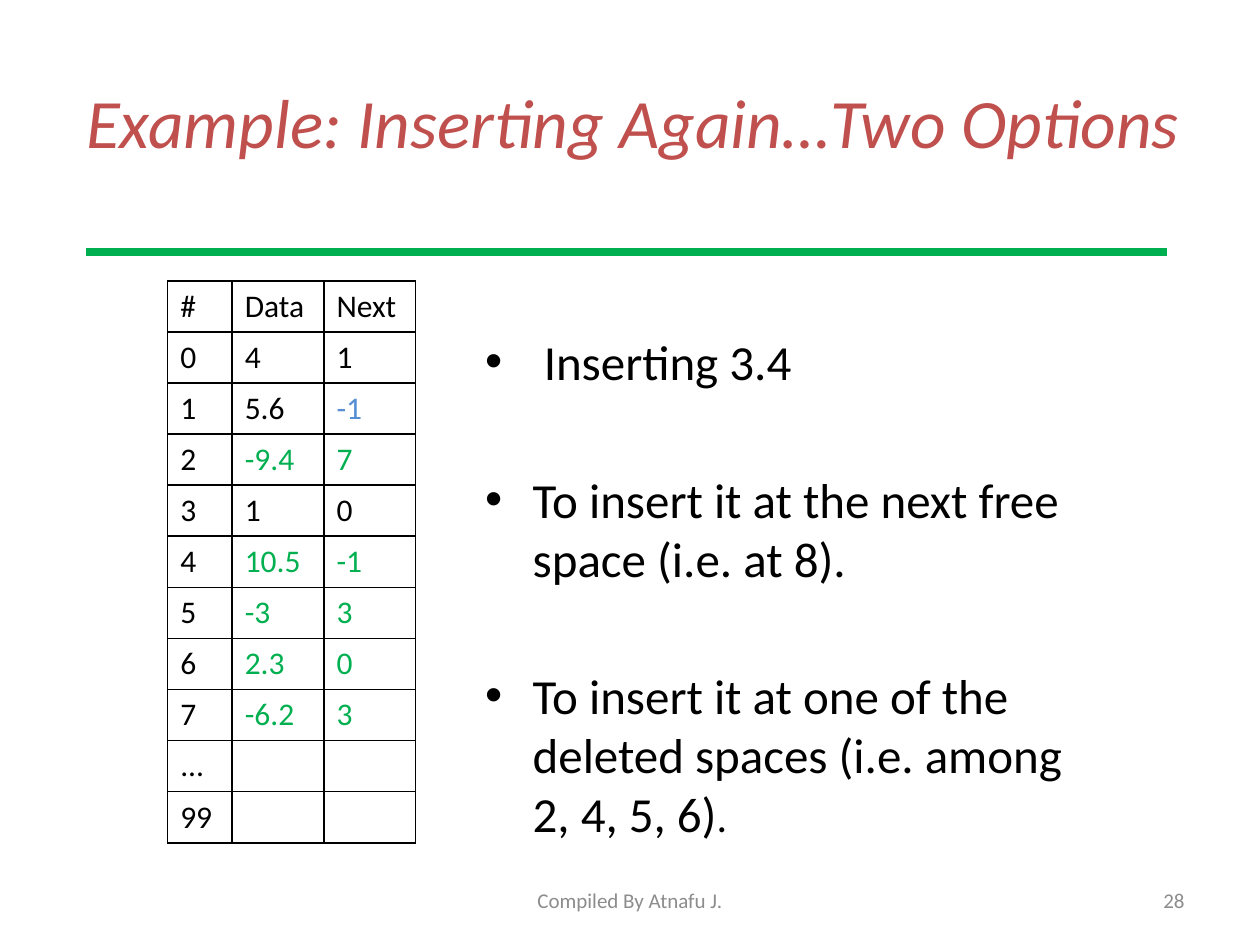
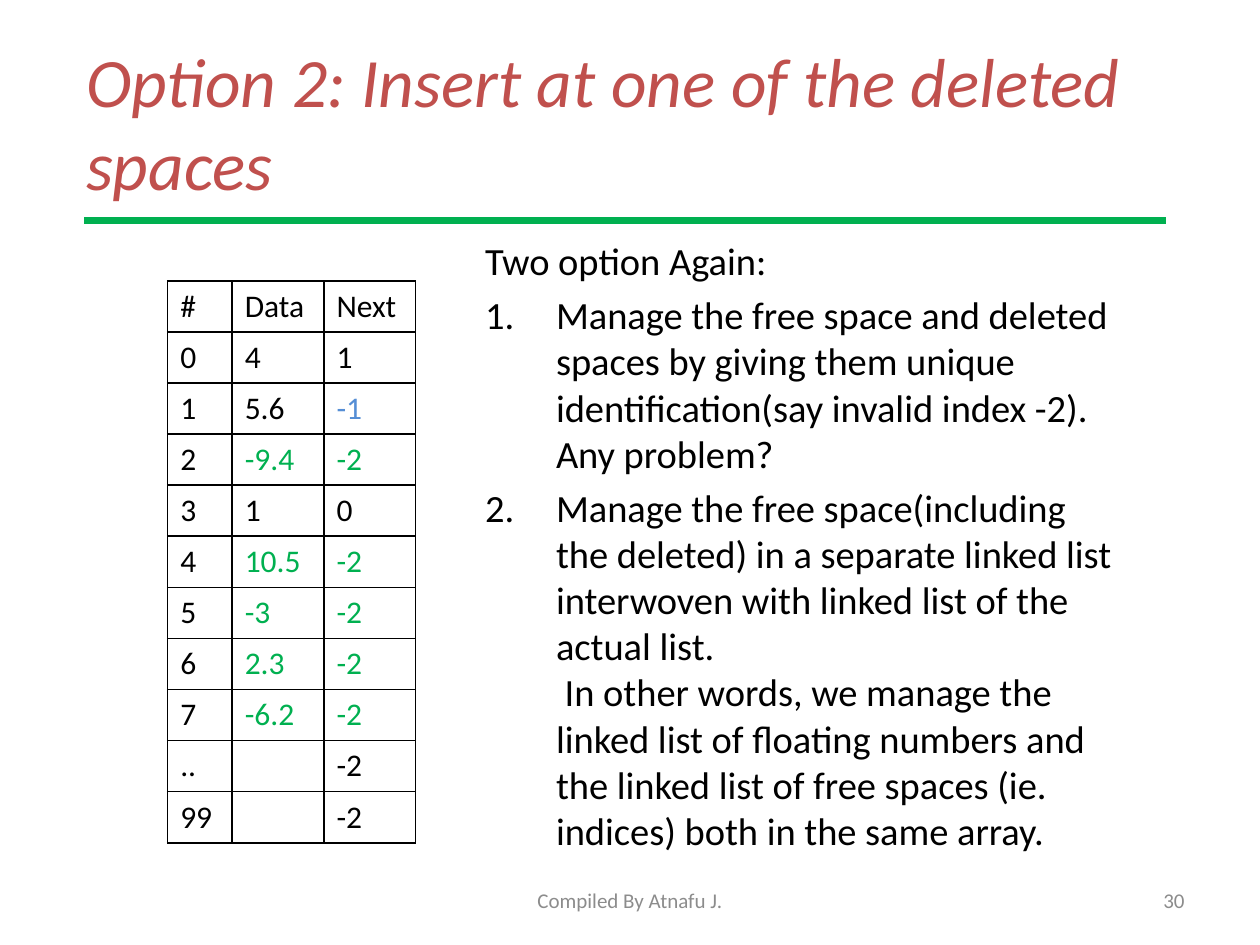
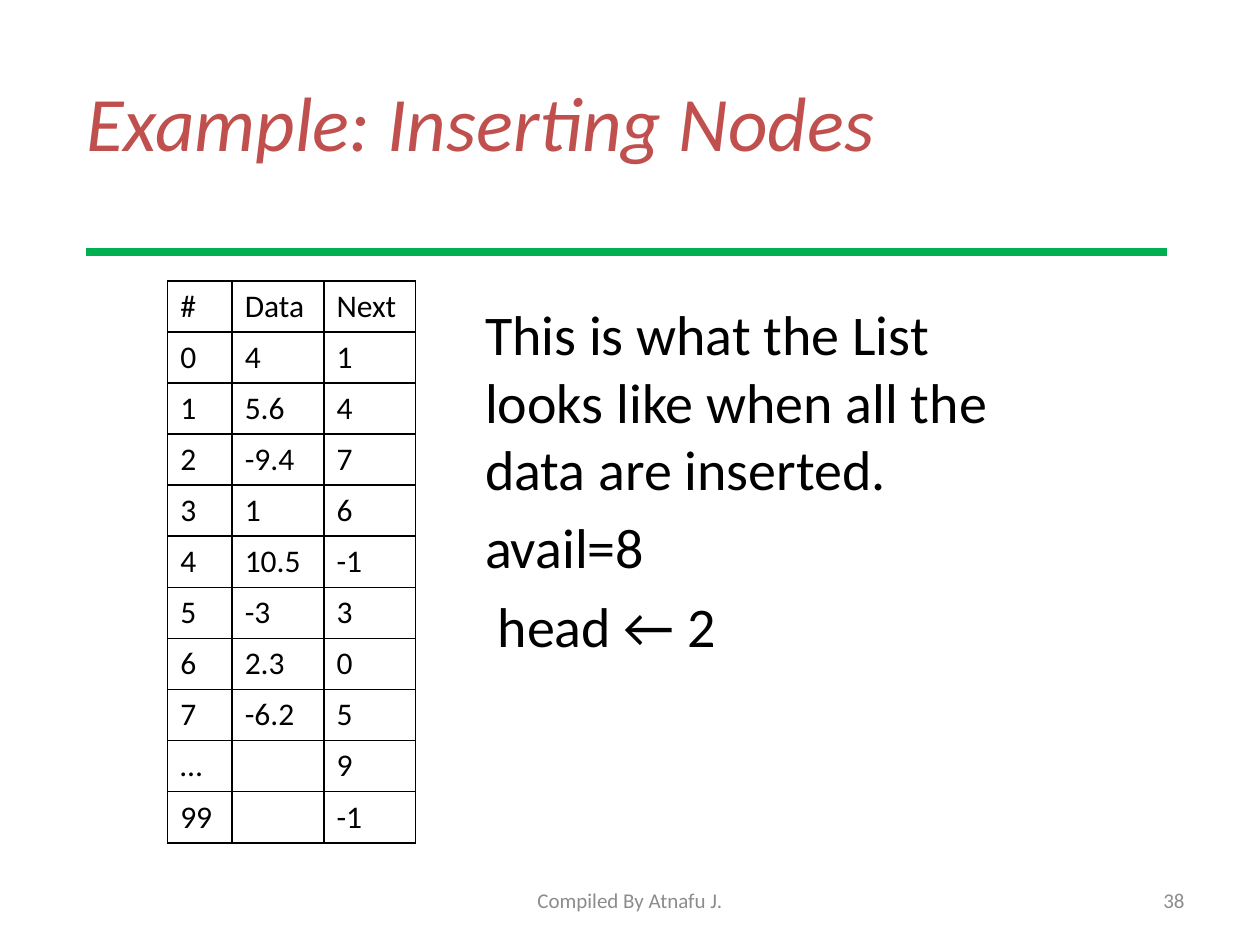
from dataclasses import dataclass

from lxml.etree import SubElement
from pptx import Presentation
from pptx.dml.color import RGBColor
from pptx.enum.shapes import MSO_CONNECTOR as Connector
from pptx.enum.text import MSO_ANCHOR as Anchor, MSO_AUTO_SIZE as AutoSize, PP_ALIGN as Align
from pptx.oxml.ns import qn
from pptx.util import Cm, Pt

FONT = "Calibri"
BLACK = RGBColor(0x00, 0x00, 0x00)
RED = RGBColor(0xC0, 0x50, 0x4D)
GREEN = RGBColor(0x00, 0xB0, 0x50)
BLUE = RGBColor(0x55, 0x8E, 0xD5)
GRAY = RGBColor(0x8C, 0x8C, 0x8C)

FOOTER = "Compiled By Atnafu J."
HEADER = ["#", "Data", "Next"]
DATA = ["4", "5.6", "-9.4", "1", "10.5", "-3", "2.3", "-6.2", "", ""]
DELETED = {"2", "4", "5", "6", "7"}
LIST_END = "1"
COLUMN_WIDTHS = [Cm(1.3), Cm(1.85), Cm(1.85)]
ROW_HEIGHT = Cm(1.03)


@dataclass
class Frame:
    left: float
    top: float
    width: float
    height: float

    def lengths(self) -> list[Cm]:
        return [Cm(self.left), Cm(self.top), Cm(self.width), Cm(self.height)]


@dataclass
class Item:
    text: str
    marker: str = ""
    ending: str = ""
    ending_size: float = 0


@dataclass
class ListPage:
    number: str
    title: str
    title_size: float
    rule_left: float
    rule_top: float
    gap_label: str
    next_values: list[str]
    marked: bool
    body: Frame
    body_size: float
    body_gap: float
    indent: float
    items: list[Item]


TITLE_FRAME = Frame(1.48, 0.85, 22.86, 3.18)
FOOTER_FRAME = Frame(8.68, 17.65, 8.04, 1.01)
NUMBER_FRAME = Frame(18.2, 17.65, 5.93, 1.01)
TABLE_LEFT, TABLE_TOP = Cm(3.38), Cm(5.66)
RULE_LENGTH = 21.8

PAGES = [
    ListPage(
        "28", "Example: Inserting Again…Two Options", 39.6, 1.73, 5.08,
        "...", ["1", "-1", "7", "0", "-1", "3", "0", "3", "", ""], True,
        Frame(9.53, 6.56, 12.7, 10.8), 28, 45, 0.96,
        [
            Item(" Inserting 3.4", "•"),
            Item("To insert it at the next free space (i.e. at 8).", "•"),
            Item("To insert it at one of the deleted spaces (i.e. among 2, 4, 5, 6)", "•", ".", 24),
        ],
    ),
    ListPage(
        "30", "Option 2: Insert at one of the deleted spaces", 39.6, 1.7, 4.45,
        "..", ["1", "-1", "-2", "0"] + ["-2"] * 6, True,
        Frame(9.53, 4.66, 13.34, 12.5), 22, 4.4, 1.43,
        [
            Item("Two option Again:"),
            Item("Manage the free space and deleted spaces by giving them unique "
                 "identification(say invalid index -2). Any problem?", "1."),
            Item("Manage the free space(including the deleted) in a separate linked list "
                 "interwoven with linked list of the actual list.\n"
                 " In other words, we manage the linked list of floating numbers and the "
                 "linked list of free spaces (ie. indices) both in the same array.", "1."),
        ],
    ),
    ListPage(
        "38", "Example: Inserting Nodes", 44, 1.73, 5.08,
        "…", ["1", "4", "7", "6", "-1", "3", "0", "5", "9", "-1"], False,
        Frame(9.53, 5.92, 11.81, 10.67), 32, 6.4, 0,
        [
            Item("This is what the List looks like when all the data are inserted."),
            Item("avail=8"),
            Item(" head ← 2"),
        ],
    ),
]


def set_font(font, size: float, color: RGBColor, italic: bool = False) -> None:
    font.name = FONT
    font.size = Pt(size)
    font.bold = False
    font.italic = italic
    font.color.rgb = color


def add_title(page, spec: ListPage) -> None:
    title = page.shapes.title
    title.left, title.top, title.width, title.height = TITLE_FRAME.lengths()
    title.text_frame.text = spec.title
    title.text_frame.auto_size = AutoSize.NONE
    title.text_frame.vertical_anchor = Anchor.MIDDLE
    para = title.text_frame.paragraphs[0]
    para.alignment = Align.LEFT
    set_font(para.font, spec.title_size, RED, italic=True)


def add_rule(page, spec: ListPage) -> None:
    top = Cm(spec.rule_top)
    rule = page.shapes.add_connector(
        Connector.STRAIGHT, Cm(spec.rule_left), top, Cm(spec.rule_left + RULE_LENGTH), top)
    rule.line.color.rgb = GREEN
    rule.line.width = Pt(4.25)
    SubElement(rule._element.spPr, qn("a:effectLst"))


def add_footer(page, text: str, frame: Frame, alignment: Align) -> None:
    box = page.shapes.add_textbox(*frame.lengths())
    box.text_frame.word_wrap = True
    box.text_frame.vertical_anchor = Anchor.MIDDLE
    para = box.text_frame.paragraphs[0]
    para.text = text
    para.alignment = alignment
    set_font(para.font, 12, GRAY)


def add_borders(cell) -> None:
    properties = cell._tc.get_or_add_tcPr()
    for position, side in enumerate(("lnL", "lnR", "lnT", "lnB")):
        border = SubElement(properties, qn(f"a:{side}"), w=str(Pt(1)))
        properties.insert(position, border)
        fill = SubElement(border, qn("a:solidFill"))
        SubElement(fill, qn("a:srgbClr"), val=str(BLACK))


def cell_color(label: str, column: int, marked: bool) -> RGBColor:
    if marked and column > 0 and label in DELETED:
        return GREEN
    if marked and column == 2 and label == LIST_END:
        return BLUE
    return BLACK


def add_list_table(page, spec: ListPage) -> None:
    labels = [str(index) for index in range(8)] + [spec.gap_label, "99"]
    rows = [HEADER, *zip(labels, DATA, spec.next_values)]
    table = page.shapes.add_table(
        len(rows), len(HEADER), TABLE_LEFT, TABLE_TOP,
        sum(COLUMN_WIDTHS), ROW_HEIGHT * len(rows)).table
    table.first_row = table.horz_banding = False
    for column, width in zip(table.columns, COLUMN_WIDTHS):
        column.width = width
    for row_index, values in enumerate(rows):
        table.rows[row_index].height = ROW_HEIGHT
        for column_index, value in enumerate(values):
            cell = table.cell(row_index, column_index)
            cell.fill.background()
            cell.vertical_anchor = Anchor.MIDDLE
            add_borders(cell)
            para = cell.text_frame.paragraphs[0]
            para.text = value
            set_font(para.font, 18, cell_color(values[0], column_index, spec.marked))


def add_marker(para, marker: str, indent: float) -> None:
    properties = para._p.get_or_add_pPr()
    properties.set("marL", str(Cm(indent)))
    properties.set("indent", str(-Cm(indent)))
    if marker == "•":
        SubElement(properties, qn("a:buFont"), typeface="Arial")
        SubElement(properties, qn("a:buChar"), char=marker)
    else:
        SubElement(properties, qn("a:buAutoNum"), type="arabicPeriod")


def add_body(page, spec: ListPage) -> None:
    box = page.shapes.add_textbox(*spec.body.lengths())
    box.text_frame.word_wrap = True
    for index, item in enumerate(spec.items):
        para = box.text_frame.paragraphs[0] if index == 0 else box.text_frame.add_paragraph()
        para.text = item.text
        if item.marker:
            add_marker(para, item.marker, spec.indent)
        if index:
            para.space_before = Pt(spec.body_gap)
        set_font(para.font, spec.body_size, BLACK)
        if item.ending:
            span = para.add_run()
            span.text = item.ending
            span.font.size = Pt(item.ending_size)


def main() -> None:
    deck = Presentation()
    deck.slide_width, deck.slide_height = Cm(25.4), Cm(19.05)
    title_only = deck.slide_layouts[5]
    for spec in PAGES:
        page = deck.slides.add_slide(title_only)
        add_title(page, spec)
        add_rule(page, spec)
        add_footer(page, spec.number, NUMBER_FRAME, Align.RIGHT)
        add_list_table(page, spec)
        add_body(page, spec)
        add_footer(page, FOOTER, FOOTER_FRAME, Align.CENTER)
    deck.save("out.pptx")


if __name__ == "__main__":
    main()
